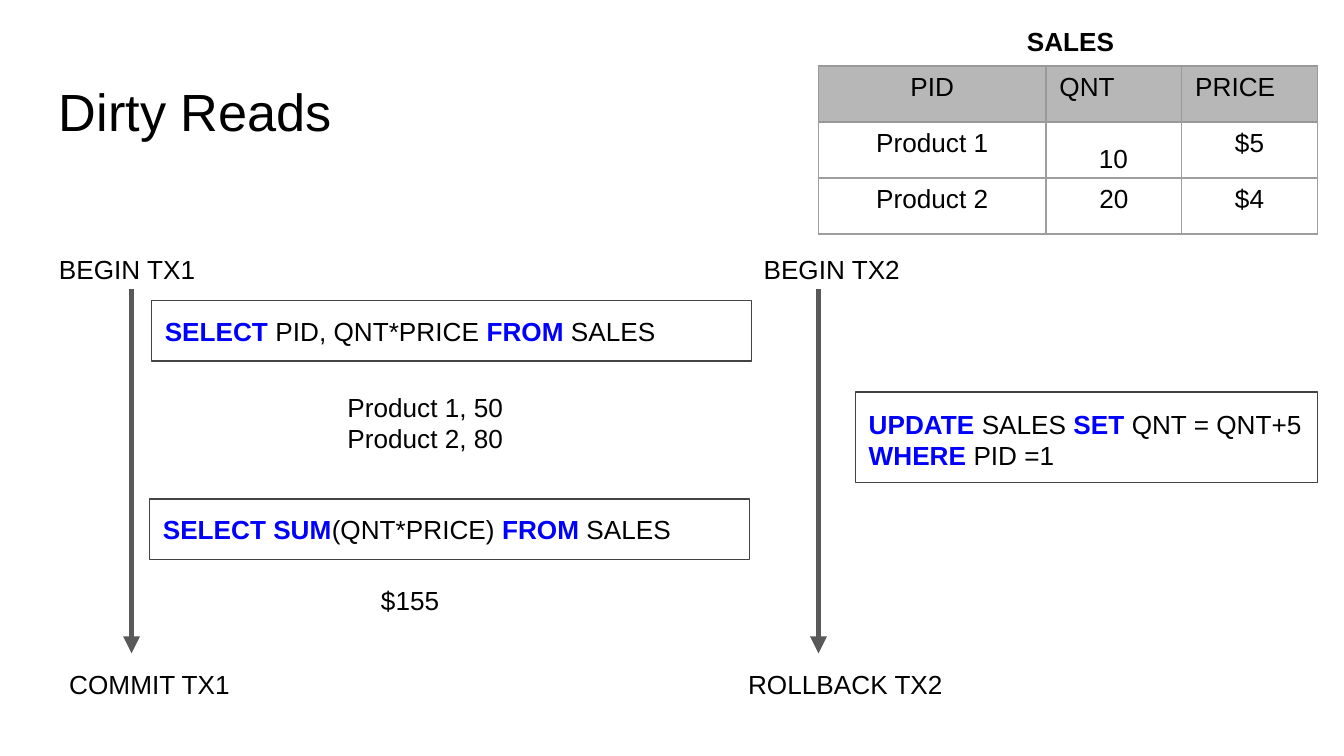
from lxml.etree import SubElement
from pptx import Presentation
from pptx.dml.color import RGBColor as Color
from pptx.enum.shapes import MSO_CONNECTOR as Connector, MSO_SHAPE as Shape
from pptx.enum.text import MSO_ANCHOR as Anchor, PP_ALIGN as Align
from pptx.oxml.ns import qn
from pptx.util import Pt

COLORS = {
    "text": "000000",
    "keyword": "0000FF",
    "arrow": "595959",
    "outline": "434343",
    "header": "B7B7B7",
    "header_border": "999999",
    "border": "9E9E9E",
    "white": "FFFFFF",
}


def write_text(frame, text, size=14, bold=False, align=Align.LEFT,
               anchor=Anchor.TOP, inset=7.2, first_spacing=None):
    frame.word_wrap = True
    frame.vertical_anchor = anchor
    frame.margin_left = frame.margin_right = Pt(7.2)
    frame.margin_top = frame.margin_bottom = Pt(inset)
    for index, line in enumerate(text.split("\n")):
        paragraph = frame.paragraphs[0] if index == 0 else frame.add_paragraph()
        paragraph.alignment = align
        if index == 0 and first_spacing:
            paragraph.line_spacing = first_spacing
        for position, part in enumerate(line.split("|")):
            if not part:
                continue
            keyword = position % 2 == 1
            run = paragraph.add_run()
            run.text = part
            run.font.name = "Arial"
            run.font.size = Pt(size)
            run.font.bold = bold or keyword
            run.font.color.rgb = Color.from_string(COLORS["keyword" if keyword else "text"])


def draw_border(cell, side, color):
    border = SubElement(cell._tc.get_or_add_tcPr(), qn(f"a:ln{side}"), w=str(Pt(0.75)))
    fill = SubElement(border, qn("a:solidFill"))
    SubElement(fill, qn("a:srgbClr"), val=COLORS[color])


presentation = Presentation()
presentation.slide_width = Pt(720)
presentation.slide_height = Pt(405)
slide = presentation.slides.add_slide(presentation.slide_layouts[6])

for x in (70.5, 438.5):
    arrow = slide.shapes.add_connector(Connector.STRAIGHT, Pt(x), Pt(155), Pt(x), Pt(350))
    arrow.line.color.rgb = Color.from_string(COLORS["arrow"])
    arrow.line.width = Pt(3)
    SubElement(arrow.line._get_or_add_ln(), qn("a:tailEnd"), type="triangle")
    SubElement(arrow._element.spPr, qn("a:effectLst"))

rows = [
    ["PID", "QNT", "PRICE"],
    ["Product 1", "10", "$5"],
    ["Product 2", "20", "$4"],
]
table_frame = slide.shapes.add_table(3, 3, Pt(438.5), Pt(35.4), Pt(267.3), Pt(90))
table = table_frame.table
for column, width in zip(table.columns, (121.9, 72.7, 72.7)):
    column.width = Pt(width)
for row_index, row in enumerate(rows):
    table.rows[row_index].height = Pt(30)
    for column_index, text in enumerate(row):
        cell = table.cell(row_index, column_index)
        left_aligned = row_index == 0 and column_index > 0
        write_text(cell.text_frame, text, inset=3.6,
                   align=Align.LEFT if left_aligned else Align.CENTER)
        cell.margin_left = cell.margin_right = Pt(7.2)
        cell.margin_top = cell.margin_bottom = Pt(3.6)
        cell.vertical_anchor = Anchor.TOP
        for side in "LRTB":
            at_header = row_index == 0 or (row_index == 1 and side == "T")
            draw_border(cell, side, "header_border" if at_header else "border")
        if row_index == 0:
            cell.fill.solid()
            cell.fill.fore_color.rgb = Color.from_string(COLORS["header"])
        else:
            cell.fill.background()

labels = [
    ("Dirty Reads", 24.5, 35.4, 173, 45, {"size": 28}),
    ("SALES", 543, 6.2, 71, 25, {"bold": True}),
    ("BEGIN TX1", 24.5, 128.8, 88, 25, {}),
    ("BEGIN TX2", 402, 128.8, 88, 25, {}),
    ("COMMIT TX1", 30, 351, 104.5, 25, {}),
    ("ROLLBACK TX2", 393.7, 351, 127, 25, {}),
    ("Product 1, 50\nProduct 2, 80", 179, 202.5, 99, 32.5, {}),
    ("$155", 197, 306, 63, 32.5, {}),
]
for text, left, top, width, height, text_format in labels:
    label = slide.shapes.add_textbox(Pt(left), Pt(top), Pt(width), Pt(height))
    write_text(label.text_frame, text, **text_format)

middle = {"anchor": Anchor.MIDDLE}
boxes = [
    ("|SELECT| PID, QNT*PRICE |FROM| SALES", 81.2, 161, 321.5, 32.5, "outline", middle),
    ("|UPDATE |SALES| SET |QNT = QNT+5\n|WHERE |PID =1", 458.3, 210, 247.7, 48.5,
     "outline", {"anchor": Anchor.MIDDLE, "first_spacing": 1.15}),
    ("|SELECT SUM|(QNT*PRICE) |FROM| SALES", 80.2, 267.3, 321.5, 32.5, "outline", middle),
    ("10", 565.2, 69.2, 62.6, 25, None, {"align": Align.CENTER}),
]
for text, left, top, width, height, outline, text_format in boxes:
    box = slide.shapes.add_shape(Shape.RECTANGLE, Pt(left), Pt(top), Pt(width), Pt(height))
    box.shadow.inherit = False
    if outline:
        box.fill.background()
        box.line.color.rgb = Color.from_string(COLORS[outline])
        box.line.width = Pt(0.75)
    else:
        box.fill.solid()
        box.fill.fore_color.rgb = Color.from_string(COLORS["white"])
        box.line.fill.background()
    write_text(box.text_frame, text, **text_format)

presentation.save("out.pptx")
